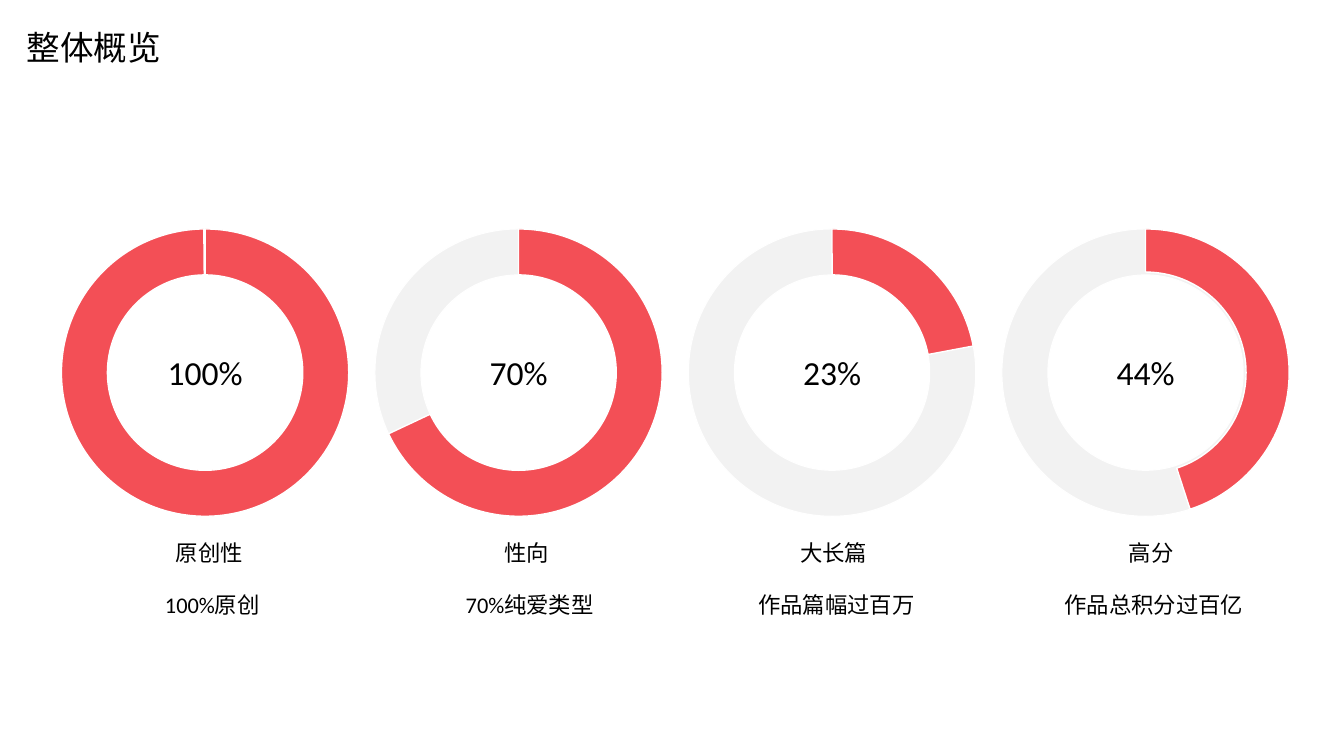
"""Build the overview slide with four ring gauges and their captions."""
from dataclasses import dataclass

from pptx import Presentation
from pptx.dml.color import RGBColor
from pptx.enum import shapes, text
from pptx.util import Cm, Pt

COLOURS = {"track": "F2F2F2", "share": "F34F56", "edge": "FFFFFF", "ink": "000000"}
FONT = "Calibri"
RING_LEFT, RING_TOP, RING_SIZE, RING_PITCH = 1.55, 5.77, 7.24, 7.9
ARC_START = 162


@dataclass(frozen=True)
class Gauge:
    """One ring with its percentage, heading and note."""
    percent: str
    heading: str
    note: str
    arc_end: float
    arc_width: float
    track_width: float
    caption_left: float


GAUGES = (
    Gauge("100%", "原创性", "100%原创", 161.7, 0.16, 0.16, 1.8),
    Gauge("70%", "性向", "70%纯爱类型", 92.88, 0.16, 0.16, 9.8),
    Gauge("23%", "大长篇", "作品篇幅过百万", 209.6, 0.16, 0.16, 17.53),
    Gauge("44%", "高分", "作品总积分过百亿", 43.16, 0.15, 0.16, 25.53),
)


def colour(name: str) -> RGBColor:
    """Return a palette colour."""
    return RGBColor.from_string(COLOURS[name])


def write(frame, words: str, size: int) -> None:
    """Write one centred run."""
    line = frame.paragraphs[0]
    line.alignment = text.PP_ALIGN.CENTER
    run = line.add_run()
    run.text = words
    run.font.size = Pt(size)
    run.font.name = FONT
    run.font.color.rgb = colour("ink")


def set_insets(frame, inset: float) -> None:
    """Give all four margins one width and centre the text vertically."""
    frame.margin_left = frame.margin_right = Cm(inset)
    frame.margin_top = frame.margin_bottom = Cm(inset)
    frame.vertical_anchor = text.MSO_ANCHOR.MIDDLE


def draw_ring(tree, preset, left: float, fill: str, edge: float, adjustments: tuple) -> None:
    """Draw a full or partial ring."""
    ring = tree.add_shape(preset, Cm(left), Cm(RING_TOP), Cm(RING_SIZE), Cm(RING_SIZE))
    ring.shadow.inherit = False
    ring.fill.solid()
    ring.fill.fore_color.rgb = colour(fill)
    ring.line.color.rgb = colour("edge")
    ring.line.width = Pt(edge)
    for index, value in enumerate(adjustments):
        ring.adjustments[index] = value


def draw_gauge(tree, gauge: Gauge, left: float) -> None:
    """Draw the grouped track, share and percentage."""
    parts = tree.add_group_shape().shapes
    draw_ring(parts, shapes.MSO_SHAPE.DONUT, left, "track", 0.75, (gauge.track_width,))
    draw_ring(parts, shapes.MSO_SHAPE.BLOCK_ARC, left, "share", 1,
              (ARC_START, gauge.arc_end, gauge.arc_width))
    percent = parts.add_textbox(Cm(left + 1.83), Cm(8.66), Cm(3.58), Cm(1.42)).text_frame
    percent.word_wrap = True
    set_insets(percent, 0)
    write(percent, gauge.percent, 24)


def draw_caption(tree, words: str, left: float, top: float, width: float) -> None:
    """Draw one caption line below a ring."""
    caption = tree.add_textbox(Cm(left), Cm(top), Cm(width), Cm(0.94)).text_frame
    caption.word_wrap = True
    caption.auto_size = text.MSO_AUTO_SIZE.SHAPE_TO_FIT_TEXT
    write(caption, words, 16)


def draw_title(title) -> None:
    """Place and format the slide title."""
    title.left, title.top, title.width, title.height = Cm(-1.09), Cm(0.56), Cm(6.91), Cm(1.27)
    title.text_frame.word_wrap = False
    title.text_frame.auto_size = text.MSO_AUTO_SIZE.NONE
    set_insets(title.text_frame, 0.2)
    write(title.text_frame, "整体概览", 24)


def main() -> None:
    """Build and save the presentation."""
    deck = Presentation()
    deck.slide_width, deck.slide_height = Cm(33.87), Cm(19.05)
    overview = deck.slides.add_slide(deck.slide_layouts[5])
    draw_title(overview.shapes.title)
    for index, gauge in enumerate(GAUGES):
        draw_gauge(overview.shapes, gauge, RING_LEFT + index * RING_PITCH)
        draw_caption(overview.shapes, gauge.heading, gauge.caption_left, 13.46, 6.96)
        draw_caption(overview.shapes, gauge.note, gauge.caption_left + 0.68, 14.78, 5.74)
    deck.save("out.pptx")


if __name__ == "__main__":
    main()
